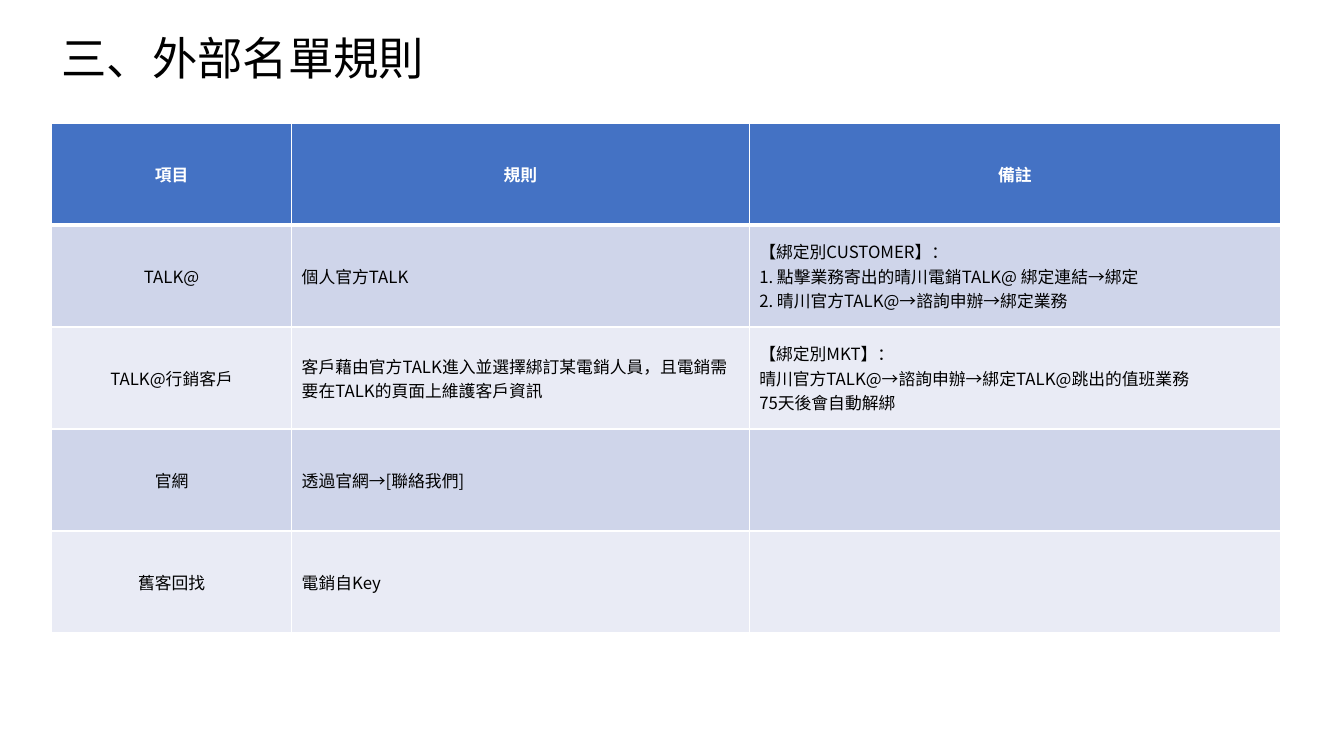
from lxml import etree
from pptx import Presentation
from pptx.dml.color import RGBColor
from pptx.enum.text import MSO_ANCHOR, PP_ALIGN
from pptx.oxml.ns import qn
from pptx.util import Cm, Pt

MIDDLE = MSO_ANCHOR.MIDDLE
LEFT, CENTER = PP_ALIGN.LEFT, PP_ALIGN.CENTER

FONT = "Noto Sans CJK SC"
BLACK = RGBColor(0x00, 0x00, 0x00)
WHITE = RGBColor(0xFF, 0xFF, 0xFF)
HEADER_BLUE = RGBColor(0x44, 0x72, 0xC4)
BAND_DARK = RGBColor(0xCF, 0xD5, 0xEA)
BAND_LIGHT = RGBColor(0xE9, 0xEB, 0xF5)

COLUMN_WIDTHS = [6.05, 11.53, 13.39]
ROW_HEIGHT = 2.57
ROWS = [
    ["項目", "規則", "備註"],
    ["TALK@", "個人官方TALK",
     "【綁定別CUSTOMER】：\n"
     "1. 點擊業務寄出的晴川電銷TALK@ 綁定連結→綁定\n"
     "2. 晴川官方TALK@→諮詢申辦→綁定業務"],
    ["TALK@行銷客戶",
     "客戶藉由官方TALK進入並選擇綁訂某電銷人員，且電銷需要在TALK的頁面上維護客戶資訊",
     "【綁定別MKT】：\n"
     "晴川官方TALK@→諮詢申辦→綁定TALK@跳出的值班業務\n"
     "75天後會自動解綁"],
    ["官網", "透過官網→[聯絡我們]", ""],
    ["舊客回找", "電銷自Key", ""],
]


def write_text(text_frame, text, size=12, color=BLACK, bold=False,
               alignment=LEFT, line_spacing=1.0):
    text_frame.text = text
    for paragraph in text_frame.paragraphs:
        paragraph.alignment = alignment
        paragraph.line_spacing = line_spacing
        for run in paragraph.runs:
            run.font.size = Pt(size)
            run.font.bold = bold
            run.font.color.rgb = color
            run.font.name = FONT
            east_asian = etree.SubElement(run.font._element, qn("a:ea"))
            east_asian.set("typeface", FONT)


def set_borders(cell, top=1, bottom=1):
    properties = cell._tc.get_or_add_tcPr()
    sides = [("a:lnL", 1), ("a:lnR", 1), ("a:lnT", top), ("a:lnB", bottom)]
    for position, (tag, width) in enumerate(sides):
        line = etree.Element(qn(tag), w=str(Pt(width)))
        fill = etree.SubElement(line, qn("a:solidFill"))
        etree.SubElement(fill, qn("a:srgbClr"), val=str(WHITE))
        properties.insert(position, line)


presentation = Presentation()
presentation.slide_width = Cm(33.87)
presentation.slide_height = Cm(19.05)
slide = presentation.slides.add_slide(presentation.slide_layouts[6])

# Title
title = slide.shapes.add_textbox(Cm(1.3), Cm(0.74), Cm(12.29), Cm(1.57))
title.text_frame.word_wrap = True
title.text_frame.vertical_anchor = MIDDLE
write_text(title.text_frame, "三、外部名單規則", size=32.4, line_spacing=0.9)

# Rules table
table = slide.shapes.add_table(
    len(ROWS), len(COLUMN_WIDTHS), Cm(1.3), Cm(3.1),
    Cm(sum(COLUMN_WIDTHS)), Cm(ROW_HEIGHT * len(ROWS))).table
for column, width in zip(table.columns, COLUMN_WIDTHS):
    column.width = Cm(width)

for row_index, row_texts in enumerate(ROWS):
    table.rows[row_index].height = Cm(ROW_HEIGHT)
    is_header = row_index == 0
    if is_header:
        row_fill = HEADER_BLUE
    else:
        row_fill = BAND_DARK if row_index % 2 else BAND_LIGHT
    for column_index, text in enumerate(row_texts):
        cell = table.cell(row_index, column_index)
        cell.vertical_anchor = MIDDLE
        cell.fill.solid()
        cell.fill.fore_color.rgb = row_fill
        set_borders(cell, top=3 if row_index == 1 else 1,
                    bottom=3 if is_header else 1)
        write_text(cell.text_frame, text, bold=is_header,
                   color=WHITE if is_header else BLACK,
                   alignment=CENTER if is_header or column_index == 0 else LEFT)

presentation.save("out.pptx")
